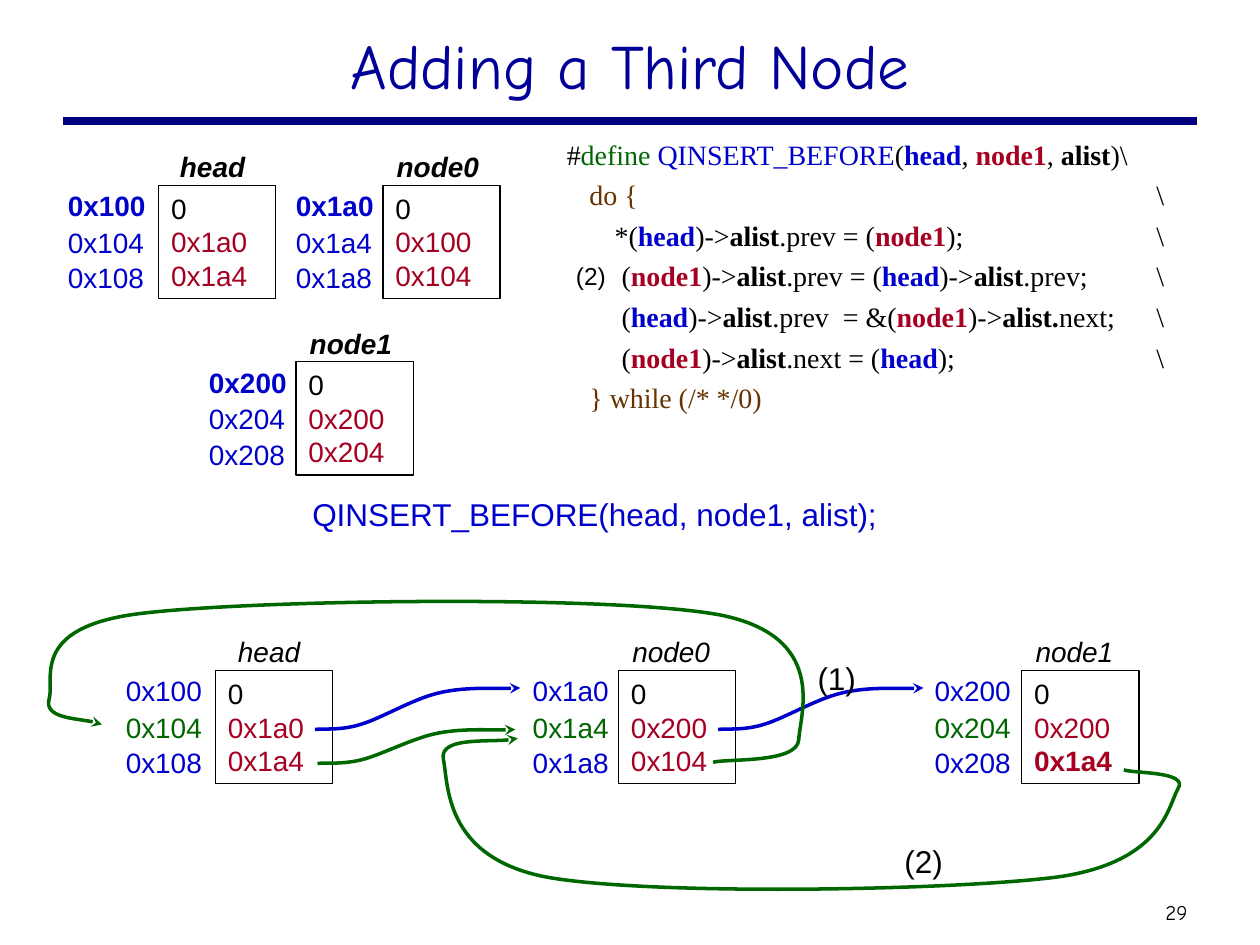
from dataclasses import dataclass
from typing import NamedTuple

from lxml import etree
from pptx import Presentation
from pptx.dml.color import RGBColor
from pptx.enum.shapes import MSO_CONNECTOR, MSO_SHAPE
from pptx.enum.text import MSO_ANCHOR, PP_ALIGN
from pptx.oxml.ns import qn
from pptx.util import Inches, Pt

RECT = MSO_SHAPE.RECTANGLE
STRAIGHT = MSO_CONNECTOR.STRAIGHT
TOP, MIDDLE = MSO_ANCHOR.TOP, MSO_ANCHOR.MIDDLE
LEFT, CENTER = PP_ALIGN.LEFT, PP_ALIGN.CENTER


@dataclass(frozen=True)
class Theme:
    ink: str = "000000"
    paper: str = "FFFFFF"
    rule: str = "000080"
    title: str = "000099"
    blue: str = "0000CC"
    red: str = "A50021"
    green: str = "006600"
    brown: str = "663300"
    sans: str = "Arial"
    serif: str = "Times New Roman"
    hand: str = "Comic Neue"
    title_pt: int = 36
    call_pt: int = 18
    body_pt: int = 16
    step_pt: int = 14
    number_pt: int = 12


T = Theme()


class Span(NamedTuple):
    text: str
    color: str = T.ink
    bold: bool = False


@dataclass(frozen=True)
class Node:
    name: str
    name_dx: float
    name_w: float
    addr_x: float
    box_x: float
    box_y: float
    addresses: tuple
    values: tuple
    linked: bool = False
    bold_last: bool = False


class Arrow(NamedTuple):
    color: str
    points: tuple


class Label(NamedTuple):
    text: str
    box: tuple
    size: int
    color: str = T.ink
    font: str = T.sans
    align: int = LEFT
    anchor: int = TOP


HEAD_ADDR = ("0x100", "0x104", "0x108")
NODE0_ADDR = ("0x1a0", "0x1a4", "0x1a8")
NODE1_ADDR = ("0x200", "0x204", "0x208")

NODES = (
    Node("head", 0.07, 0.78, 0.44, 1.26, 1.47, HEAD_ADDR, ("0", "0x1a0", "0x1a4")),
    Node("node0", 0.01, 0.91, 2.25, 3.04, 1.47, NODE0_ADDR, ("0", "0x100", "0x104")),
    Node("node1", 0.01, 0.85, 1.56, 2.35, 2.87, NODE1_ADDR, ("0", "0x200", "0x204")),
    Node("head", 0.08, 0.75, 0.9, 1.71, 5.32, HEAD_ADDR, ("0", "0x1a0", "0x1a4"), True),
    Node("node0", 0.01, 0.88, 4.13, 4.91, 5.32, NODE0_ADDR, ("0", "0x200", "0x104"), True),
    Node("node1", 0.01, 0.81, 7.32, 8.11, 5.32, NODE1_ADDR, ("0", "0x200", "0x1a4"), True, True),
)

NEXT_CURVE = ((2.5, 5.79), (2.56, 5.78), (2.7, 5.8), (2.86, 5.75), (3.03, 5.7),
              (3.27, 5.55), (3.48, 5.5), (3.69, 5.45), (3.99, 5.47), (4.13, 5.46))
NEXT_STEP = 3.2

ARROWS = (
    Arrow(T.blue, NEXT_CURVE),
    Arrow(T.blue, tuple((x + NEXT_STEP, y) for x, y in NEXT_CURVE)),
    Arrow(T.green, ((5.66, 6.05), (5.77, 6.02), (6.33, 6.06), (6.34, 5.87),
                    (6.35, 5.67), (6.58, 5.05), (5.71, 4.88), (4.84, 4.72),
                    (1.99, 4.76), (1.11, 4.87), (0.22, 4.98), (0.44, 5.4),
                    (0.39, 5.55), (0.35, 5.7), (0.73, 5.71), (0.81, 5.75))),
    Arrow(T.green, ((8.92, 6.11), (8.99, 6.14), (9.44, 6.12), (9.35, 6.26),
                    (9.27, 6.4), (9.23, 6.84), (8.4, 6.96), (7.56, 7.07),
                    (5.14, 7.11), (4.33, 6.96), (3.52, 6.8), (3.56, 6.22),
                    (3.52, 6.03), (3.48, 5.85), (3.99, 5.9), (4.11, 5.86))),
    Arrow(T.green, ((2.52, 6.06), (2.57, 6.05), (2.71, 6.07), (2.87, 6.03),
                    (3.03, 5.99), (3.27, 5.86), (3.47, 5.82), (3.67, 5.78),
                    (3.96, 5.8), (4.09, 5.79))),
)

HEAD = Span("head", T.blue, True)
NODE1 = Span("node1", T.red, True)
ALIST = Span("alist", bold=True)
ARROW = Span(")->")
CODE_TABS = (0.18, 0.38, 2.75, 4.68)
CODE = (
    (Span("#"), Span("define ", T.green), Span("QINSERT_BEFORE", T.blue), Span("("),
     HEAD, Span(", "), NODE1, Span(", "), ALIST, Span(")\\")),
    (Span("\tdo {\t\t", T.brown), Span("\\")),
    (Span("\t\t*("), HEAD, ARROW, ALIST, Span(".prev = ("), NODE1, Span("); \t\\")),
    (Span("\t\t ("), NODE1, ARROW, ALIST, Span(".prev = ("), HEAD, ARROW, ALIST,
     Span(".prev; \t\\")),
    (Span("\t\t ("), HEAD, ARROW, ALIST, Span(".prev  = &("), NODE1, ARROW,
     Span("alist.", bold=True), Span("next;\t\\")),
    (Span("\t\t ("), NODE1, ARROW, ALIST, Span(".next = ("), HEAD, Span(");\t\\")),
    (Span("\t} while (/* */0)", T.brown),),
)

LABELS = (
    Label("Adding a Third Node", (0.75, 0.08, 8.5, 0.86), T.title_pt, T.title,
          T.hand, CENTER, MIDDLE),
    Label("29", (9.15, 7.09, 0.42, 0.3), T.number_pt, font=T.hand, anchor=MIDDLE),
    Label("QINSERT_BEFORE(head, node1, alist);", (2.38, 3.88, 4.69, 0.4), T.call_pt, T.blue),
    Label("(1)", (6.39, 5.18, 0.5, 0.4), T.call_pt),
    Label("(2)", (7.08, 6.63, 0.5, 0.4), T.call_pt),
    Label("(2)", (4.47, 2.02, 0.44, 0.34), T.step_pt, align=CENTER),
)


def style(r, size: int, color: str, font: str, bold: bool = False, italic: bool = False) -> None:
    r.font.size, r.font.name = Pt(size), font
    r.font.bold, r.font.italic = bold, italic
    r.font.color.rgb = RGBColor.from_string(color)


def add_label(s, label: Label, bold: bool = False, italic: bool = False) -> None:
    tf = s.shapes.add_textbox(*map(Inches, label.box)).text_frame
    tf.word_wrap, tf.vertical_anchor = True, label.anchor
    if label.align == LEFT:
        tf.margin_right = 0
    else:
        tf.margin_left = tf.margin_right = Inches(0.05)
    tf.text = label.text
    p = tf.paragraphs[0]
    p.alignment = label.align
    style(p.runs[0], label.size, label.color, label.font, bold, italic)


def add_rect(s, *box: float):
    sp = s.shapes.add_shape(RECT, *map(Inches, box))
    sp.shadow.inherit = False
    sp.text_frame.word_wrap = True
    sp.text_frame.vertical_anchor = TOP
    return sp


def add_node(s, node: Node) -> None:
    name_box = (node.box_x + node.name_dx, node.box_y - 0.33, node.name_w, 0.37)
    add_label(s, Label(node.name, name_box, T.body_pt), not node.linked, True)
    for i, (address, dy) in enumerate(zip(node.addresses, (-0.02, 0.27, 0.55))):
        bold = i == 0 and not node.linked
        color = T.green if i == 1 and node.linked else T.blue
        box = (node.addr_x, node.box_y + dy, 0.81 if bold else 0.8, 0.37)
        add_label(s, Label(address, box, T.body_pt, color), bold)
    sp = add_rect(s, node.box_x, node.box_y, 0.93, 0.9)
    sp.fill.background()
    sp.line.color.rgb = RGBColor.from_string(T.ink)
    sp.line.width = Pt(0.75)
    tf = sp.text_frame
    tf.text = "\n".join(node.values)
    for i, p in enumerate(tf.paragraphs):
        p.alignment = LEFT
        style(p.runs[0], T.body_pt, T.red if i else T.ink, T.sans, node.bold_last and i == 2)


def add_code(s) -> None:
    sp = add_rect(s, 4.4, 1.04, 5.34, 2.44)
    sp.fill.solid()
    sp.fill.fore_color.rgb = RGBColor.from_string(T.paper)
    sp.line.fill.background()
    tf = sp.text_frame
    for i, spans in enumerate(CODE):
        p = tf.add_paragraph() if i else tf.paragraphs[0]
        p.alignment, p.space_before = LEFT, Pt(4)
        tabs = etree.SubElement(p._p.get_or_add_pPr(), qn("a:tabLst"))
        for stop in CODE_TABS:
            etree.SubElement(tabs, qn("a:tab"), pos=str(Inches(stop)), algn="l")
        for span in spans:
            r = p.add_run()
            r.text = span.text
            style(r, T.body_pt, span.color, T.serif, span.bold)


def add_arrow(s, arrow: Arrow) -> None:
    start, *rest = [(Inches(x), Inches(y)) for x, y in arrow.points]
    builder = s.shapes.build_freeform(*start)
    builder.add_line_segments(rest, close=False)
    sp = builder.convert_to_shape()
    sp.shadow.inherit = False
    sp.fill.background()
    sp.line.color.rgb = RGBColor.from_string(arrow.color)
    sp.line.width = Pt(2)
    etree.SubElement(sp.line._get_or_add_ln(), qn("a:tailEnd"), type="stealth")
    outline = next(sp._element.iter(qn("a:path")))
    segments = outline.findall(qn("a:lnTo"))
    for i in range(0, len(segments), 3):
        curve = etree.SubElement(outline, qn("a:cubicBezTo"))
        for segment in segments[i:i + 3]:
            curve.append(segment[0])
            outline.remove(segment)


def add_rule(s) -> None:
    line = s.shapes.add_connector(STRAIGHT, Inches(0.5), Inches(0.96), Inches(9.5), Inches(0.96))
    line.line.color.rgb = RGBColor.from_string(T.rule)
    line.line.width = Pt(4.5)
    etree.SubElement(line._element.spPr, qn("a:effectLst"))


def main() -> None:
    prs = Presentation()
    prs.slide_width, prs.slide_height = Inches(10), Inches(7.5)
    s = prs.slides.add_slide(prs.slide_layouts[6])
    add_rule(s)
    add_code(s)
    for node in NODES:
        add_node(s, node)
    for arrow in ARROWS:
        add_arrow(s, arrow)
    for label in LABELS:
        add_label(s, label)
    prs.save("out.pptx")


if __name__ == "__main__":
    main()
